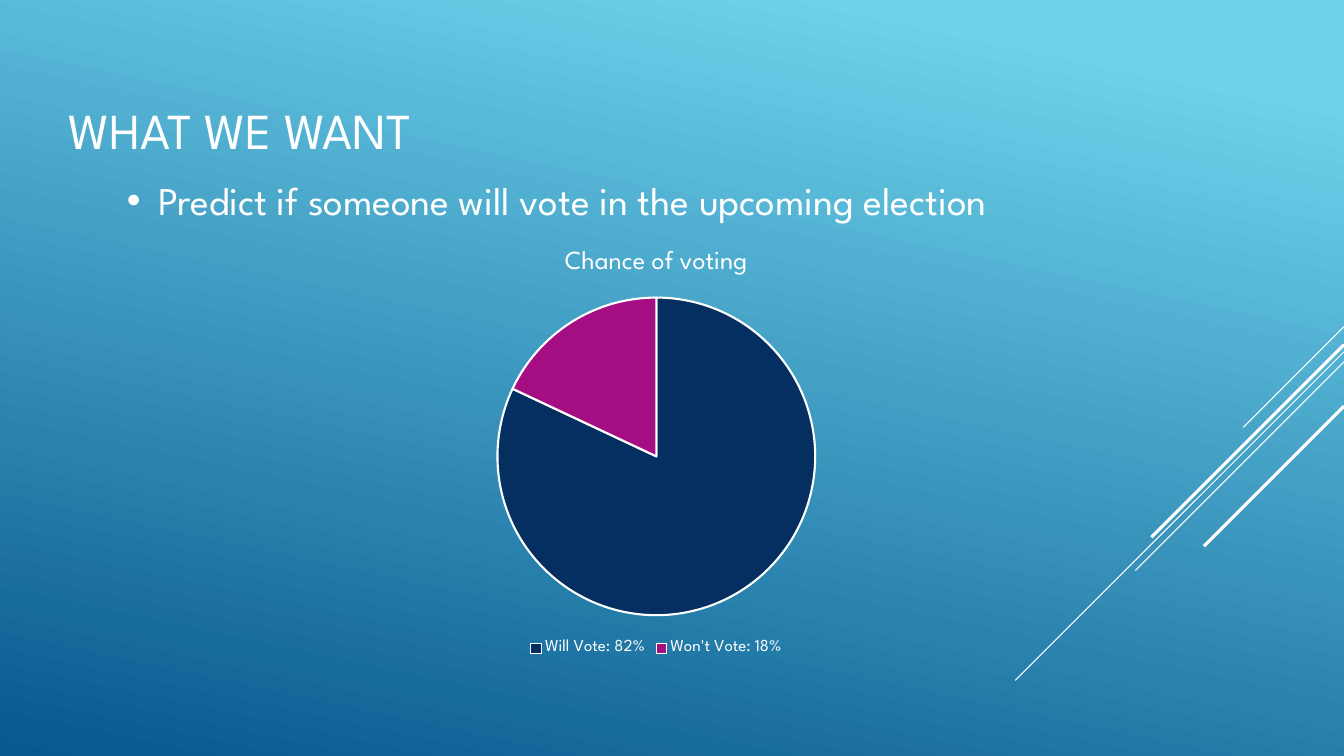
from dataclasses import dataclass

from lxml import etree
from pptx import Presentation
from pptx.chart.data import CategoryChartData
from pptx.dml.color import RGBColor
from pptx.enum.chart import XL_CHART_TYPE, XL_LEGEND_POSITION
from pptx.enum.shapes import MSO_CONNECTOR
from pptx.enum.text import MSO_ANCHOR
from pptx.oxml.ns import qn
from pptx.util import Inches, Pt

PIE = XL_CHART_TYPE.PIE
LEGEND_BOTTOM = XL_LEGEND_POSITION.BOTTOM
STRAIGHT = MSO_CONNECTOR.STRAIGHT
TOP, MIDDLE = MSO_ANCHOR.TOP, MSO_ANCHOR.MIDDLE
SLIDE_WIDTH, SLIDE_HEIGHT = 13.33, 7.5


@dataclass(frozen=True)
class Theme:
    font: str = "League Spartan"
    ink: str = "FFFFFF"
    sky: str = "6ED2EB"
    deep: str = "06588E"
    slices: tuple = ("052F61", "A50E82")
    title_size: float = 36
    body_size: float = 28
    chart_title_size: float = 18.6
    legend_size: float = 12
    chart_size: float = 10
    thin: float = 0.75
    thick: float = 2.25
    slice_border: float = 1.5


class SlideBuilder:
    def __init__(self, slide, theme):
        self.slide = slide
        self.theme = theme

    def style_font(self, font, size):
        font.name = self.theme.font
        font.size = Pt(size)
        font.bold = False
        font.color.rgb = RGBColor.from_string(self.theme.ink)

    def background(self, angle, stops):
        fill = self.slide.background.fill
        fill.gradient()
        fill.gradient_angle = angle
        for stop, (position, color) in zip(fill.gradient_stops, stops):
            stop.position = position
            stop.color.rgb = RGBColor.from_string(color)

    def line(self, start, end, width):
        points = [Inches(value) for value in (*start, *end)]
        connector = self.slide.shapes.add_connector(STRAIGHT, *points)
        connector.line.color.rgb = RGBColor.from_string(self.theme.ink)
        connector.line.width = Pt(width)
        etree.SubElement(connector._element.spPr, qn("a:effectLst"))

    def text(self, box, text, size, anchor=TOP, bullet_indent=None):
        shape = self.slide.shapes.add_textbox(*map(Inches, box))
        text_frame = shape.text_frame
        text_frame.word_wrap = True
        text_frame.vertical_anchor = anchor
        text_frame.text = text
        paragraph = text_frame.paragraphs[0]
        self.style_font(paragraph.runs[0].font, size)
        if bullet_indent:
            properties = paragraph._p.get_or_add_pPr()
            properties.set("marL", str(Inches(bullet_indent)))
            properties.set("indent", str(-Inches(bullet_indent)))
            etree.SubElement(properties, qn("a:buFont"), typeface="Arial")
            etree.SubElement(properties, qn("a:buChar"), char="•")

    def pie(self, box, title, values):
        theme = self.theme
        data = CategoryChartData()
        data.categories = list(values)
        data.add_series(title, list(values.values()))
        chart = self.slide.shapes.add_chart(PIE, *map(Inches, box), data).chart
        self.style_font(chart.font, theme.chart_size)

        chart.has_title = True
        title_frame = chart.chart_title.text_frame
        title_frame.text = title
        self.style_font(title_frame.paragraphs[0].runs[0].font, theme.chart_title_size)
        chart.chart_title.include_in_layout = False

        chart.has_legend = True
        chart.legend.position = LEGEND_BOTTOM
        chart.legend.include_in_layout = False
        self.style_font(chart.legend.font, theme.legend_size)

        plot = chart.plots[0]
        plot.vary_by_categories = True
        for index, color in enumerate(theme.slices):
            point_format = plot.series[0].points[index].format
            point_format.fill.solid()
            point_format.fill.fore_color.rgb = RGBColor.from_string(color)
            point_format.line.color.rgb = RGBColor.from_string(theme.ink)
            point_format.line.width = Pt(theme.slice_border)


theme = Theme()
presentation = Presentation()
presentation.slide_width = Inches(SLIDE_WIDTH)
presentation.slide_height = Inches(SLIDE_HEIGHT)
blank_layout = presentation.slide_layouts[6]
builder = SlideBuilder(presentation.slides.add_slide(blank_layout), theme)

# Background: python-pptx measures the angle counter-clockwise
builder.background(360 - 102, [(0.1, theme.sky), (1, theme.deep)])

# Diagonal rays: all fall at 45 degrees from the right edge
rays = [
    (3.24, 1.0, theme.thin),
    (3.49, 3.26, theme.thin),
    (3.59, 2.07, theme.thin),
    (3.42, 1.91, theme.thick),
    (4.03, 1.39, theme.thick),
]
for top, run, width in rays:
    builder.line((SLIDE_WIDTH, top), (SLIDE_WIDTH - run, top + run), width)

# Title and statement
builder.text((0.58, 0.46, 4.4, 1.65), "WHAT WE WANT", theme.title_size, anchor=MIDDLE)
builder.text((1.16, 1.7, 11.43, 0.57),
             "Predict if someone will vote in the upcoming election",
             theme.body_size, bullet_indent=0.31)

# Voting chart
builder.pie((2.78, 2.27, 7.46, 4.28), "Chance of voting",
            {"Will Vote: 82%": 82, "Won't Vote: 18%": 18})

presentation.save("out.pptx")
